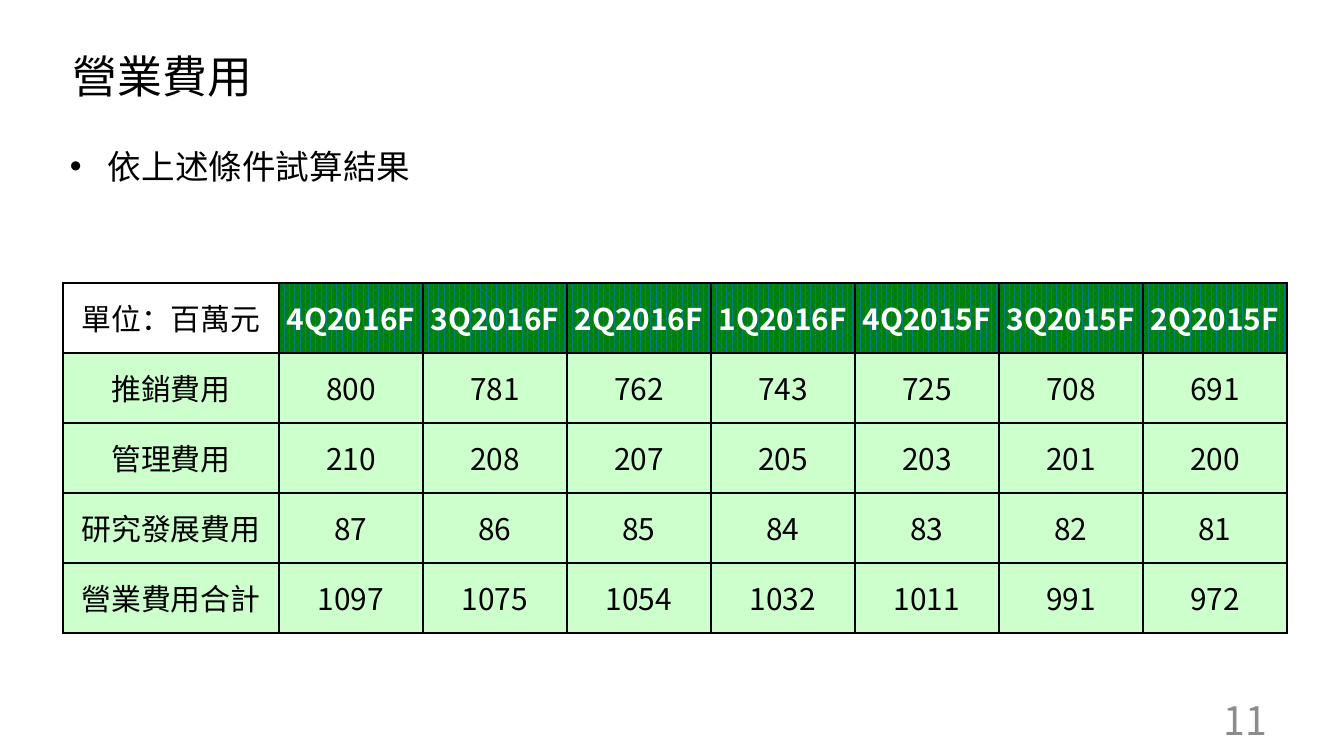
import pptx
import pptx.util
import pptx.dml.color
import pptx.enum.dml
import pptx.enum.text
import pptx.oxml
import pptx.oxml.ns
import lxml.etree

PX = 914400 / 134.4
ANCHOR = pptx.enum.text.MSO_ANCHOR
ALIGN = pptx.enum.text.PP_ALIGN
qn = pptx.oxml.ns.qn


def px(length):
    return pptx.util.Emu(round(length * PX))


def style(paragraph, size, color, font_name="Noto Sans CJK SC", bold=False, align=ALIGN.LEFT):
    paragraph.alignment = align
    font = paragraph.font
    font.size = pptx.util.Pt(size)
    font.bold = bold
    font.name = font_name
    font.color.rgb = pptx.dml.color.RGBColor.from_string(color)
    properties = paragraph._p.pPr.find(qn("a:defRPr"))
    east_asian = lxml.etree.Element(qn("a:ea"), typeface=font_name)
    properties.find(qn("a:latin")).addnext(east_asian)


presentation = pptx.Presentation()
presentation.slide_width = px(1344)
presentation.slide_height = px(756)
slide = presentation.slides.add_slide(presentation.slide_layouts[6])

text_boxes = [
    ("營業費用", (63, 13, 1210, 126), 24, "000000", ANCHOR.MIDDLE, ALIGN.LEFT),
    ("依上述條件試算結果", (60, 141, 1210, 499), 18, "000000", ANCHOR.TOP, ALIGN.LEFT),
    ("11", (964, 700, 313, 40), 21, "8C8C8C", ANCHOR.MIDDLE, ALIGN.RIGHT),
]
paragraphs = []
for text, box, size, color, anchor, align in text_boxes:
    shape = slide.shapes.add_textbox(*[px(length) for length in box])
    frame = shape.text_frame
    frame.word_wrap = True
    frame.vertical_anchor = anchor
    frame.margin_left = frame.margin_right = px(10)
    frame.margin_top = frame.margin_bottom = px(5)
    paragraph = frame.paragraphs[0]
    paragraph.text = text
    style(paragraph, size, color, align=align)
    paragraphs.append(paragraph)

bullet_paragraph = paragraphs[1]
bullet_paragraph.space_before = pptx.util.Pt(4)
bullet_properties = bullet_paragraph._p.pPr
bullet_properties.set("marL", str(px(38)))
bullet_properties.set("indent", str(px(-38)))
default_run = bullet_properties.find(qn("a:defRPr"))
default_run.addprevious(lxml.etree.Element(qn("a:buFont"), typeface="Arial"))
default_run.addprevious(lxml.etree.Element(qn("a:buChar"), char="•"))

rows = [
    ["單位：百萬元", "4Q2016F", "3Q2016F", "2Q2016F", "1Q2016F", "4Q2015F", "3Q2015F", "2Q2015F"],
    ["推銷費用", 800, 781, 762, 743, 725, 708, 691],
    ["管理費用", 210, 208, 207, 205, 203, 201, 200],
    ["研究發展費用", 87, 86, 85, 84, 83, 82, 81],
    ["營業費用合計", 1097, 1075, 1054, 1032, 1011, 991, 972],
]
table = slide.shapes.add_table(5, 8, px(63), px(283), px(1224), px(350)).table
table.first_row = False
table.horz_banding = False
for index, column in enumerate(table.columns):
    column.width = px(144 if index else 216)
for row in table.rows:
    row.height = px(70)

for row_index, values in enumerate(rows):
    for column_index, value in enumerate(values):
        cell = table.cell(row_index, column_index)
        quarter = row_index == 0 and column_index > 0
        cell.vertical_anchor = ANCHOR.MIDDLE
        cell.margin_left = cell.margin_right = cell.margin_top = cell.margin_bottom = 0
        paragraph = cell.text_frame.paragraphs[0]
        paragraph.text = str(value)
        style(paragraph, 16, "FFFFFF" if quarter else "000000",
              "Noto Sans CJK TC", quarter, ALIGN.CENTER)
        for side in ("lnL", "lnR", "lnT", "lnB"):
            cell._tc.get_or_add_tcPr().append(pptx.oxml.parse_xml(
                f'<a:{side} {pptx.oxml.ns.nsdecls("a")} w="12700"><a:solidFill>'
                f'<a:srgbClr val="000000"/></a:solidFill></a:{side}>'))
        if quarter:
            cell.fill.patterned()
            cell.fill.pattern = pptx.enum.dml.MSO_PATTERN.PERCENT_75
            cell.fill.fore_color.rgb = pptx.dml.color.RGBColor.from_string("008080")
            cell.fill.back_color.rgb = pptx.dml.color.RGBColor.from_string("008000")
        elif row_index:
            cell.fill.solid()
            cell.fill.fore_color.rgb = pptx.dml.color.RGBColor.from_string("CCFFCC")
        else:
            cell.fill.background()

presentation.save("out.pptx")
